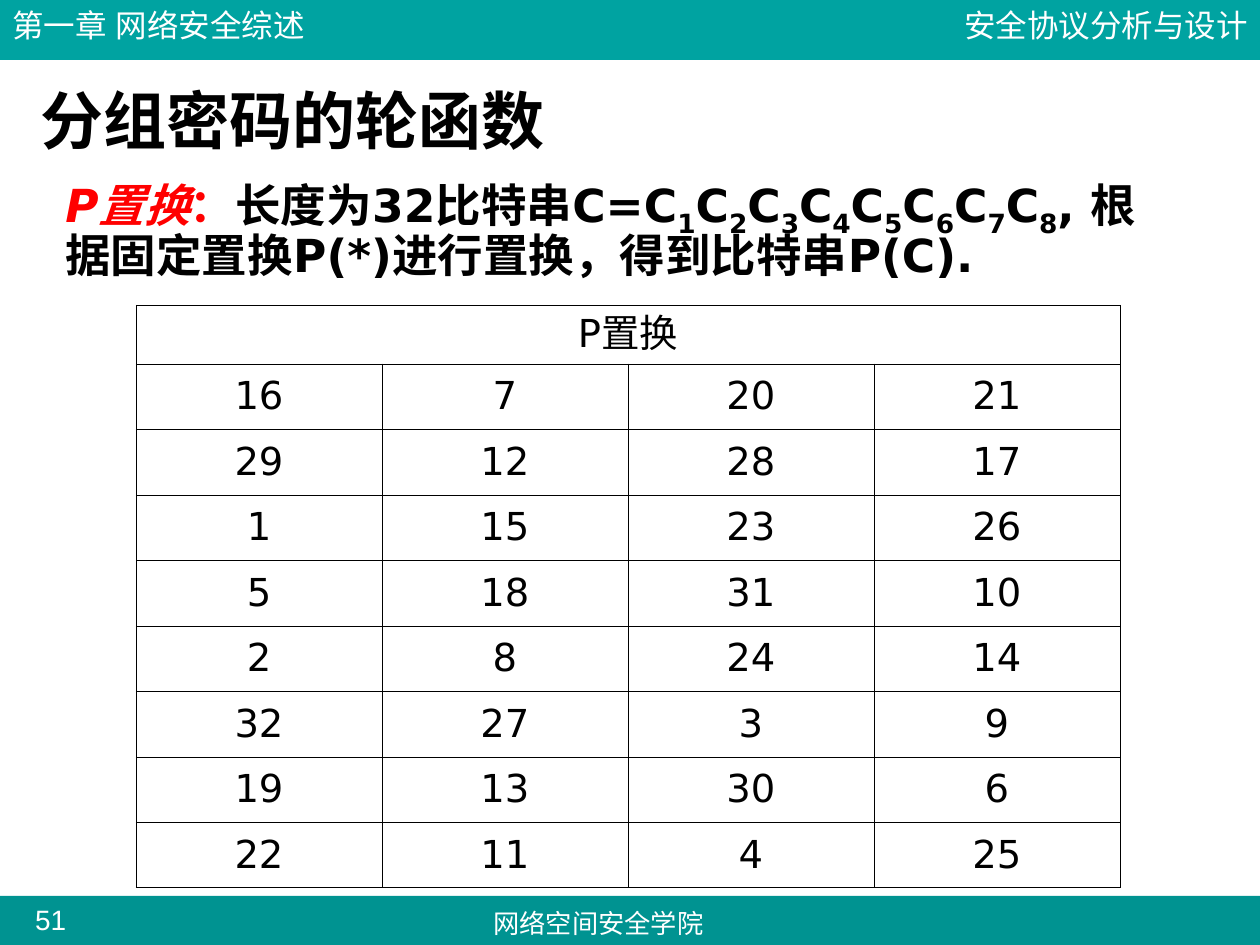
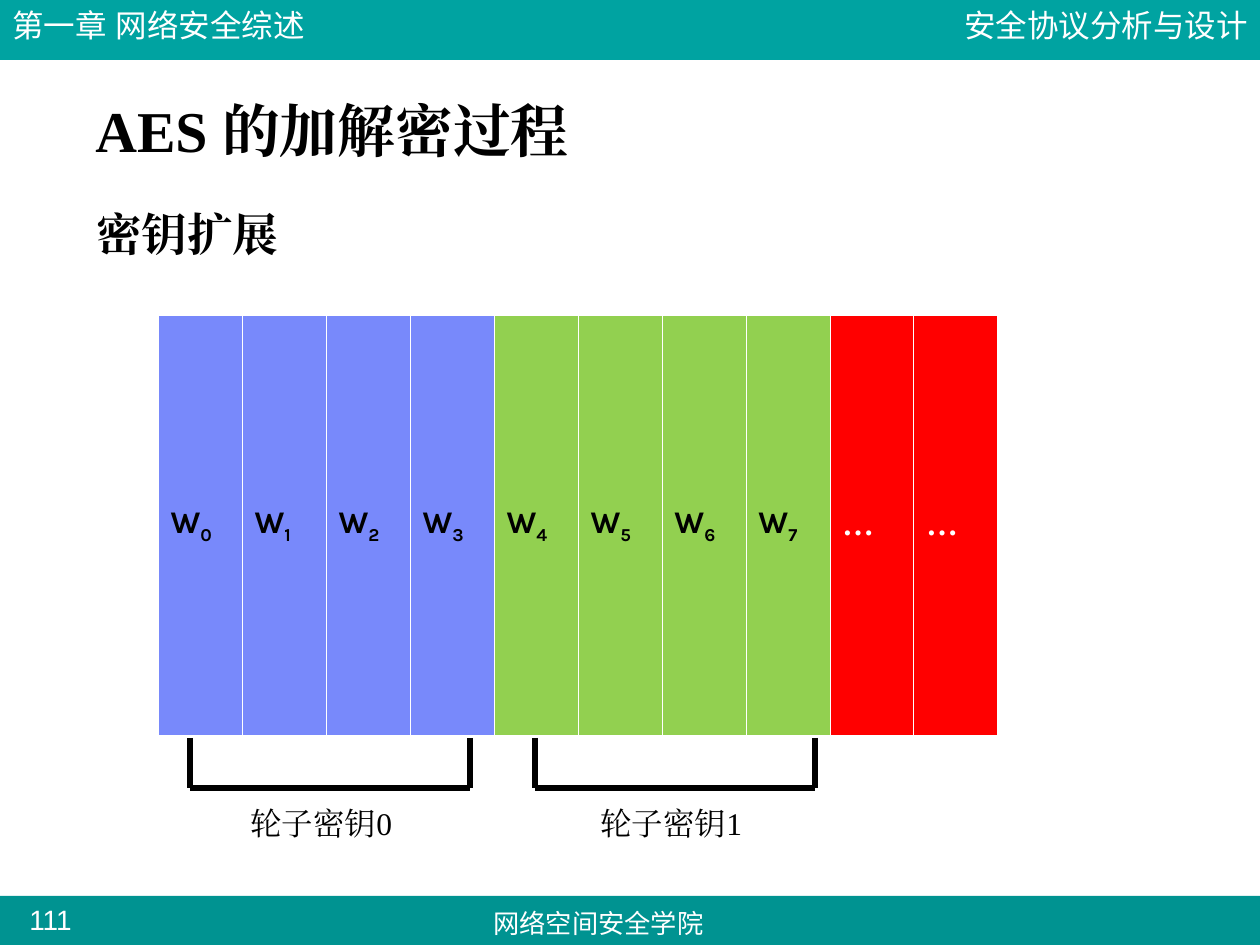
from lxml import etree
from pptx import Presentation
from pptx.dml.color import RGBColor
from pptx.enum.shapes import MSO_CONNECTOR, MSO_SHAPE
from pptx.enum.text import MSO_ANCHOR, PP_ALIGN
from pptx.oxml.ns import qn
from pptx.util import Inches, Pt

PX = 7257  # EMU per px, 126 px to the inch
LEFT, CENTER, RIGHT = PP_ALIGN.LEFT, PP_ALIGN.CENTER, PP_ALIGN.RIGHT
TOP, MIDDLE = MSO_ANCHOR.TOP, MSO_ANCHOR.MIDDLE
RECTANGLE, STRAIGHT = MSO_SHAPE.RECTANGLE, MSO_CONNECTOR.STRAIGHT

BLACK, WHITE, RED = "000000", "FFFFFF", "FF0000"
HEADER_TEAL, FOOTER_TEAL = "00A3A1", "009391"
KEY_BLUE, KEY_GREEN = "7889FB", "92D050"
HEADER_FONT, TITLE_FONT = "Arial", "Noto Sans CJK SC"
BODY_FONT, KEY_FONT, SERIF_FONT = "DejaVu Sans", "Karla", "Times New Roman"


def write(frame, spans, font, size, colour=BLACK, bold=False, align=LEFT, spacing=None):
    """Fill the first paragraph; each span is (text, options: sub, italic, colour)."""
    para = frame.paragraphs[0]
    para.alignment = align
    if spacing:
        para.line_spacing = spacing
    for text, options in spans:
        span = para.add_run()
        span.text = text
        span.font.name = font
        span.font.size = Pt(size)
        span.font.bold = bold
        span.font.italic = options.get("italic", False)
        span.font.color.rgb = RGBColor.from_string(options.get("colour", colour))
        properties = span._r.get_or_add_rPr()
        etree.SubElement(properties, qn("a:ea")).set("typeface", font)
        if options.get("sub"):
            properties.set("baseline", "-25000")


def add_text(page, place, spans, font, size, anchor=TOP, wrap=True, inset=True, **style):
    """Add a text box at place (left, top, width, height in px)."""
    box = page.shapes.add_textbox(*[length * PX for length in place])
    frame = box.text_frame
    frame.word_wrap = wrap
    frame.vertical_anchor = anchor
    if not inset:
        frame.margin_left = frame.margin_right = 0
        frame.margin_top = frame.margin_bottom = 0
    write(frame, spans, font, size, **style)


deck = Presentation()
deck.slide_width, deck.slide_height = Inches(10), Inches(7.5)

# Bands, running heads and page numbers
pages = []
for number in ("51", "111"):
    page = deck.slides.add_slide(deck.slide_layouts[6])
    for top, height, colour in ((896, 49, FOOTER_TEAL), (0, 60, HEADER_TEAL)):
        band = page.shapes.add_shape(RECTANGLE, 0, top * PX, deck.slide_width, height * PX)
        band.shadow.inherit = False
        band.fill.solid()
        band.fill.fore_color.rgb = RGBColor.from_string(colour)
        band.line.fill.background()
    for place, text, size, align in (
        ((872, 0, 388, 50), "安全协议分析与设计", 18, RIGHT),
        ((451, 901, 295, 44), "网络空间安全学院", 15, CENTER),
        ((0, 0, 388, 50), "第一章 网络安全综述", 18, LEFT),
    ):
        add_text(page, place, [(text, {})], HEADER_FONT, size, colour=WHITE, align=align)
    add_text(page, (17, 903, 67, 34), [(number, {})], HEADER_FONT, 16,
             inset=False, colour=WHITE, align=CENTER)
    pages.append(page)
permutation_page, key_page = pages

# P permutation
add_text(permutation_page, (28, 82, 1136, 84), [("分组密码的轮函数", {})], TITLE_FONT, 36,
         anchor=MIDDLE, bold=True, spacing=0.9)

PERMUTATION = [
    (16, 7, 20, 21), (29, 12, 28, 17), (1, 15, 23, 26), (5, 18, 31, 10),
    (2, 8, 24, 14), (32, 27, 3, 9), (19, 13, 30, 6), (22, 11, 4, 25),
]
heading_height, body_height = 52, 524
permutation_table = permutation_page.shapes.add_table(
    len(PERMUTATION) + 1, 4, 136 * PX, 305 * PX, 984 * PX,
    (heading_height + body_height) * PX).table
for row in permutation_table.rows:
    row.height = body_height * PX // len(PERMUTATION)
permutation_table.rows[0].height = heading_height * PX
permutation_table.cell(0, 0).merge(permutation_table.cell(0, 3))
for cell in permutation_table.iter_cells():
    cell.margin_left = cell.margin_right = PX
    cell.fill.background()
write(permutation_table.cell(0, 0).text_frame, [("P置换", {})], BODY_FONT, 22, align=CENTER)
for row_index, values in enumerate(PERMUTATION, 1):
    for column_index, value in enumerate(values):
        write(permutation_table.cell(row_index, column_index).text_frame,
              [(str(value), {})], BODY_FONT, 22, align=CENTER)

definition = [("P置换", {"italic": True, "colour": RED}), ("：", {"colour": RED}),
              ("长度为32比特串C=", {})]
for block in range(1, 9):
    definition += [("C", {}), (str(block), {"sub": True})]
definition.append((", 根据固定置换P(*)进行置换，得到比特串P(C).", {}))
add_text(permutation_page, (53, 170, 1131, 120), definition, BODY_FONT, 26,
         anchor=MIDDLE, bold=True, spacing=0.9)

# Key expansion
key_table = key_page.shapes.add_table(1, 10, 158 * PX, 315 * PX, 840 * PX, 420 * PX).table
for word, cell in enumerate(key_table.iter_cells()):
    cell.fill.solid()
    cell.fill.fore_color.rgb = RGBColor.from_string((KEY_BLUE, KEY_GREEN, RED)[word // 4])
    if word < 8:
        write(cell.text_frame, [("W", {}), (str(word), {"sub": True})], KEY_FONT, 18, bold=True)
    else:
        write(cell.text_frame, [("…", {})], SERIF_FONT, 18, colour=WHITE, bold=True)

bracket_top, bracket_bottom, bracket_width = 738, 788, 280
for key_index, (left, label_left) in enumerate(((190, 238), (535, 588))):
    right = left + bracket_width
    for ends in (
        (left, bracket_top, left, bracket_bottom),
        (right, bracket_top, right, bracket_bottom),
        (left, bracket_bottom, right, bracket_bottom),
    ):
        line = key_page.shapes.add_connector(STRAIGHT, *[end * PX for end in ends])
        line.line.color.rgb = RGBColor.from_string(BLACK)
        line.line.width = Pt(3)
        etree.SubElement(line._element.spPr, qn("a:effectLst"))
    add_text(key_page, (label_left, 798, 174, 50), [(f"轮子密钥{key_index}", {})],
             SERIF_FONT, 18, wrap=False)

add_text(key_page, (83, 96, 1074, 145), [("AES 的加解密过程", {})], SERIF_FONT, 33,
         bold=True, spacing=0.9)
add_text(key_page, (84, 173, 514, 94), [("密钥扩展", {})], SERIF_FONT, 26,
         bold=True, spacing=1.5)

# Cell borders of both tables
for table, colour, width in ((permutation_table, BLACK, 0.23), (key_table, WHITE, 0.45)):
    table.first_row = table.horz_banding = False
    for cell in table.iter_cells():
        cell.vertical_anchor = MIDDLE
        properties = cell._tc.get_or_add_tcPr()
        for position, side in enumerate(("lnL", "lnR", "lnT", "lnB")):
            border = etree.Element(qn(f"a:{side}"), w=str(Pt(width)))
            fill = etree.SubElement(border, qn("a:solidFill"))
            etree.SubElement(fill, qn("a:srgbClr"), val=colour)
            properties.insert(position, border)

deck.save("out.pptx")
